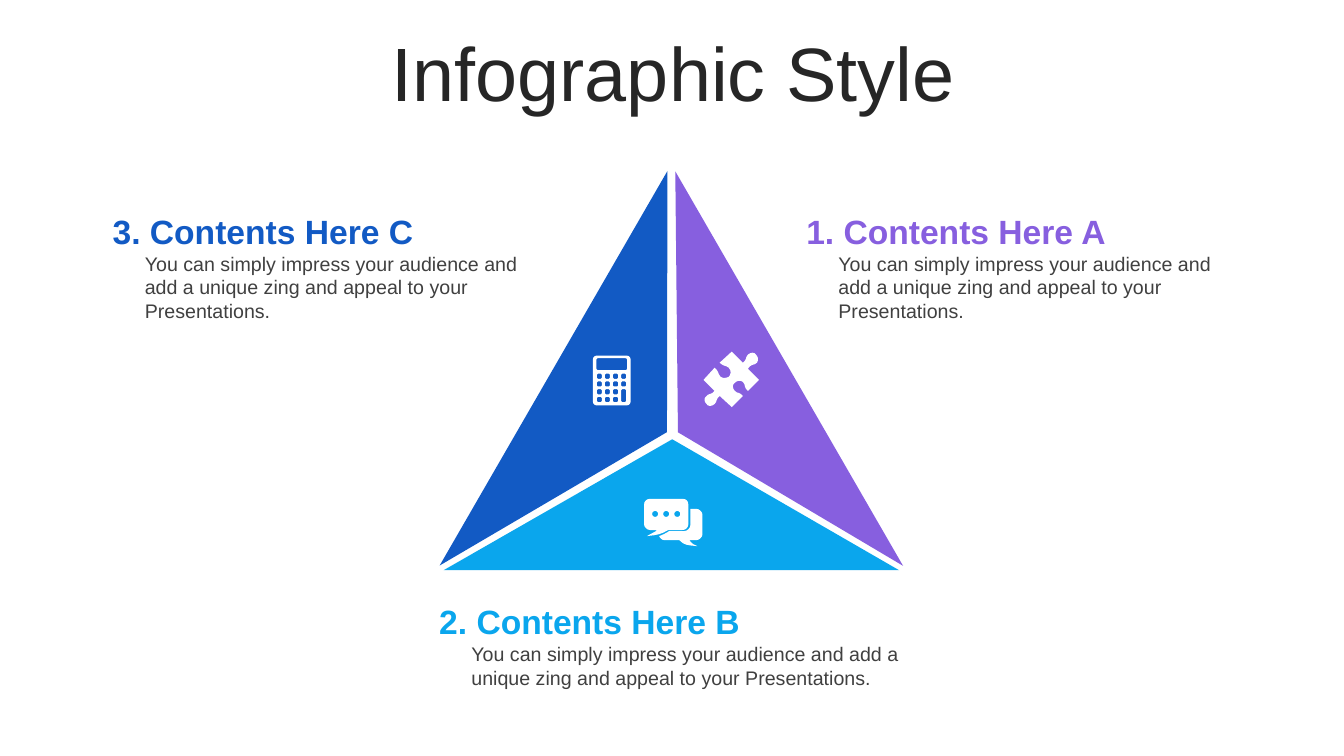
from dataclasses import dataclass
from math import dist

from pptx import Presentation
from pptx.dml.color import RGBColor
from pptx.enum.shapes import MSO_SHAPE as Preset
from pptx.enum.text import MSO_ANCHOR as Anchor, MSO_AUTO_SIZE as AutoSize, PP_ALIGN as Align
from pptx.util import Cm, Pt

Segment = tuple[float, ...]  # (x, y) is a line, (x1, y1, x2, y2, x, y) a Bézier curve
Contour = list[Segment]      # begins with the starting point


@dataclass(frozen=True)
class Theme:
    font: str = "Arial"
    title: str = "262626"
    body: str = "404040"
    icon: str = "FFFFFF"
    purple: str = "875FDF"
    sky: str = "0AA6ED"
    blue: str = "125AC4"
    title_size: int = 54
    heading_size: int = 24
    body_size: int = 14


@dataclass(frozen=True)
class Panel:
    left: float
    top: float
    width: float
    height: float
    apex: float
    rotation: int
    color: str


@dataclass(frozen=True)
class Caption:
    heading: str
    left: float
    top: float
    width: float
    body_height: float
    color: str


@dataclass(frozen=True)
class Icon:
    left: float
    top: float
    contours: list[Contour]


THEME = Theme()
BODY = ("You can simply impress your audience and add a unique zing "
        "and appeal to your Presentations.")
BODY_INDENT, BODY_DROP = 0.86, 1.04
ICON_PRECISION = 10
ICON_SCALE = Cm(2.54) / 100 / ICON_PRECISION  # icons are drawn in hundredths of an inch
MAX_CURVE_STEPS = 4

PANELS = [
    Panel(11.18, 11.07, 11.48, 3.3, 0.502, 0, THEME.sky),
    Panel(9.63, 8.46, 11.48, 3.28, 0.497, 120, THEME.blue),
    Panel(12.75, 8.48, 11.48, 3.23, 0.501, 240, THEME.purple),
]
CAPTIONS = [
    Caption("2. Contents Here B", 10.82, 15.01, 12.16, 1.45, THEME.sky),
    Caption("1. Contents Here A", 20.07, 5.18, 11.2, 2.06, THEME.purple),
    Caption("3. Contents Here C", 2.59, 5.18, 11.2, 2.06, THEME.blue),
]


def rounded(x: float, y: float, w: float, h: float, r: float) -> Contour:
    """Outline of a rounded rectangle; r = w / 2 = h / 2 gives a circle."""
    k = 0.45 * r
    right, bottom = x + w, y + h
    return [
        (x + r, y), (right - r, y), (right - k, y, right, y + k, right, y + r),
        (right, bottom - r), (right, bottom - k, right - k, bottom, right - r, bottom),
        (x + r, bottom), (x + k, bottom, x, bottom - k, x, bottom - r),
        (x, y + r), (x, y + k, x + k, y, x + r, y),
    ]


def calculator() -> list[Contour]:
    keys = [rounded(4 + 8 * col, 18 + 7.7 * row, 5, 5, 1)
            for row in range(4) for col in range(4) if col < 3 or row < 2]
    return [rounded(0, 0, 37.5, 49.5, 4), rounded(3.5, 2.5, 30.5, 12, 1.8),
            *keys, rounded(28, 33.4, 5, 12.7, 1)]


PUZZLE: Contour = [
    (52, 3), (54, 5, 55, 8, 53, 11), (50, 14, 47, 12, 44, 17), (55, 28), (44, 39),
    (40, 36, 42, 33, 39, 30), (36, 28, 33, 29, 31, 31), (29, 32, 28, 36, 31, 39),
    (34, 42, 36, 40, 39, 44), (28, 55), (16, 44), (12, 47, 14, 49, 11, 52),
    (8, 55, 4, 54, 3, 52), (1, 50, 0, 47, 2, 45), (5, 41, 8, 43, 11, 39), (0, 28),
    (11, 16), (15, 19, 14, 22, 17, 25), (20, 27, 23, 26, 25, 25),
    (27, 23, 28, 19, 25, 16), (21, 13, 20, 15, 16, 11), (28, 0), (39, 11),
    (43, 8, 41, 7, 44, 3), (47, 0, 51, 1, 52, 3),
]
FRONT_BUBBLE: Contour = [
    (6, 0), (38, 0), (42, 0, 44, 2, 44, 6), (44, 25), (44, 28, 42, 31, 38, 31),
    (24, 31), (17, 35, 14, 36, 3, 37), (9, 33, 10, 34, 13, 31), (6, 31),
    (3, 31, 0, 28, 0, 25), (0, 6), (0, 2, 3, 0, 6, 0),
]
BACK_BUBBLE: Contour = [
    (46, 10), (52, 10), (55, 10, 58, 13, 58, 16), (58, 35), (58, 38, 55, 41, 52, 41),
    (45, 41), (47, 43, 46, 44, 53, 47), (42, 46, 40, 46, 35, 41), (20, 41),
    (18, 41, 16, 39, 15, 37), (18, 36, 22, 34, 25, 32), (40, 32), (43, 32, 46, 29, 46, 26),
]
DOTS = [rounded(8 + 11 * i, 12, 6, 6, 3) for i in range(3)]
ICONS = [
    Icon(14.94, 8.96, calculator()),
    Icon(17.73, 8.86, [PUZZLE]),
    Icon(16.23, 12.57, [*DOTS, BACK_BUBBLE, FRONT_BUBBLE]),
]


def flatten(contour: Contour) -> list[tuple[float, float]]:
    """Turn lines and curves into points, with fewer steps on shorter curves."""
    points = [contour[0]]
    for segment in contour[1:]:
        if len(segment) == 2:
            points.append(segment)
            continue
        controls = [points[-1], segment[:2], segment[2:4], segment[4:]]
        steps = min(MAX_CURVE_STEPS, 1 + int(dist(controls[0], controls[3]) / 2))
        for step in range(1, steps + 1):
            t = step / steps
            weights = ((1 - t) ** 3, 3 * t * (1 - t) ** 2, 3 * t * t * (1 - t), t ** 3)
            points.append(tuple(sum(w * c[axis] for w, c in zip(weights, controls))
                                for axis in (0, 1)))
    return [(x * ICON_PRECISION, y * ICON_PRECISION) for x, y in points]


def paint(sp, color: str) -> None:
    sp.shadow.inherit = False
    sp.fill.solid()
    sp.fill.fore_color.rgb = RGBColor.from_string(color)
    sp.line.fill.background()


def add_panel(shapes, panel: Panel) -> None:
    sp = shapes.add_shape(Preset.ISOSCELES_TRIANGLE, Cm(panel.left), Cm(panel.top),
                          Cm(panel.width), Cm(panel.height))
    sp.adjustments[0] = panel.apex
    sp.rotation = panel.rotation
    paint(sp, panel.color)


def add_icon(shapes, icon: Icon) -> None:
    outlines = [flatten(contour) for contour in icon.contours]
    builder = shapes.build_freeform(*outlines[0][0], scale=ICON_SCALE)
    for i, points in enumerate(outlines):
        if i:
            builder.move_to(*points[0])
        builder.add_line_segments(points[1:], close=True)
    paint(builder.convert_to_shape(Cm(icon.left), Cm(icon.top)), THEME.icon)


def add_text(shapes, text: str, left: float, top: float, width: float, height: float,
             size: int, color: str, bold: bool = False):
    tf = shapes.add_textbox(Cm(left), Cm(top), Cm(width), Cm(height)).text_frame
    tf.word_wrap = True
    tf.text = text
    font = tf.paragraphs[0].runs[0].font
    font.name, font.size, font.bold = THEME.font, Pt(size), bold
    font.color.rgb = RGBColor.from_string(color)
    return tf


def add_title(shapes, text: str) -> None:
    tf = add_text(shapes, text, 0.89, 0.94, 32.16, 2.01, THEME.title_size, THEME.title)
    tf.vertical_anchor = Anchor.MIDDLE
    p = tf.paragraphs[0]
    p.alignment, p.line_spacing = Align.CENTER, 0.9


def add_caption(shapes, caption: Caption) -> None:
    group = shapes.add_group_shape().shapes
    body = add_text(group, BODY, caption.left + BODY_INDENT, caption.top + BODY_DROP,
                    caption.width - BODY_INDENT, caption.body_height,
                    THEME.body_size, THEME.body)
    body.margin_left = body.margin_right = Cm(0.2)
    heading = add_text(group, caption.heading, caption.left, caption.top, caption.width,
                       1.27, THEME.heading_size, caption.color, bold=True)
    for tf in (body, heading):
        tf.auto_size = AutoSize.SHAPE_TO_FIT_TEXT


def main() -> None:
    prs = Presentation()
    prs.slide_width, prs.slide_height = Cm(33.87), Cm(19.05)
    shapes = prs.slides.add_slide(prs.slide_layouts[6]).shapes
    add_title(shapes, "Infographic Style")
    for panel in PANELS:
        add_panel(shapes, panel)
    for icon in ICONS:
        add_icon(shapes, icon)
    for caption in CAPTIONS:
        add_caption(shapes, caption)
    prs.save("out.pptx")


if __name__ == "__main__":
    main()
